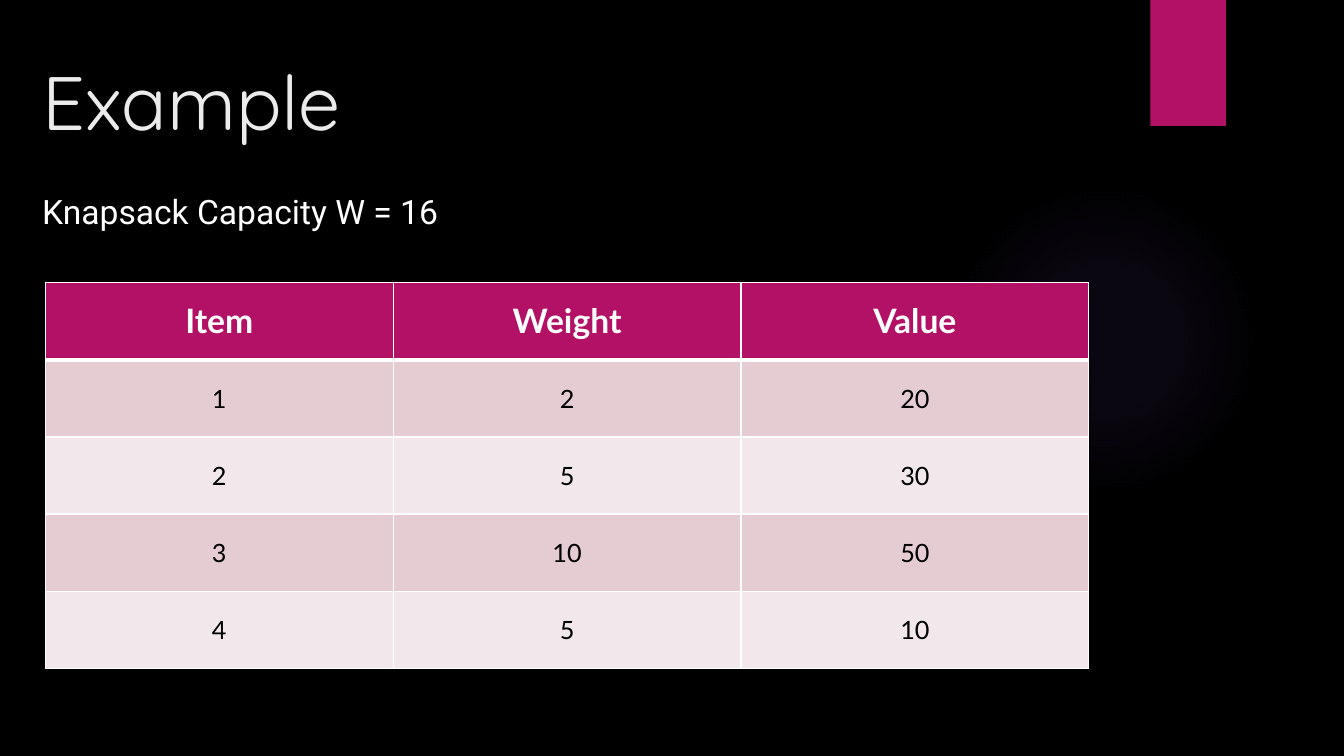
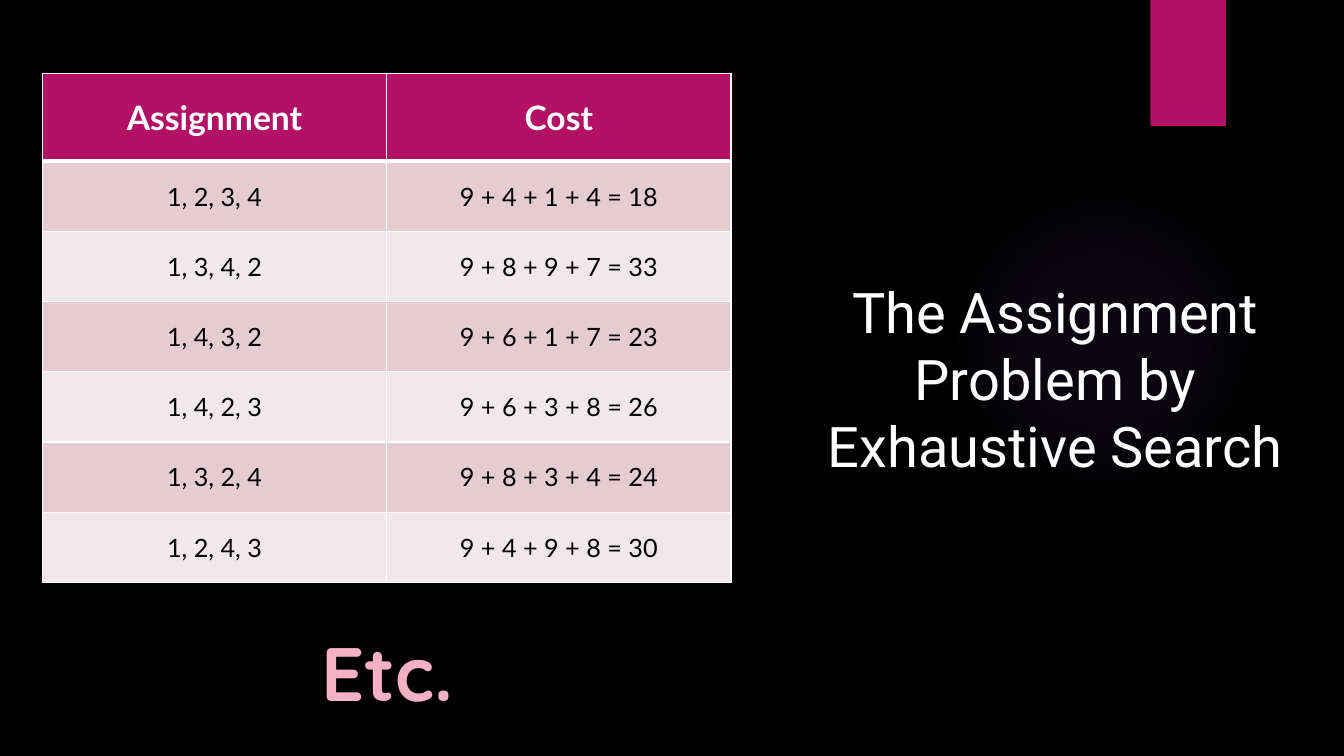
from lxml import etree
from pptx import Presentation
from pptx.dml.color import RGBColor
from pptx.enum import shapes, text
from pptx.oxml import ns
from pptx.util import Inches, Pt

BLACK, WHITE = "000000", "FFFFFF"
ACCENT = "B31166"
ROW_FILLS = ("E5CCD3", "F2E7EA")
TITLE_COLOR = "EBEBEB"
GLOW = "9B6BF2"
GLOW_STOPS = ((0, 7), (36, 6), (69, 0))  # position and opacity, in percent
PINK, ROSE = "F4B1C5", "E33D6F"
TITLE_FONT, BODY_FONT, TABLE_FONT = "Quicksand", "Roboto", "Lato"


def color(value):
    return RGBColor.from_string(value)


def set_font(font, name, size, fill, bold=False):
    font.name, font.size, font.bold = name, Pt(size), bold
    font.color.rgb = color(fill)


def line_xml(tag, fill, width):
    """Return an outline element, as used by cell borders and text."""
    line = etree.Element(ns.qn(f"a:{tag}"), w=str(Pt(width)))
    solid = etree.SubElement(line, ns.qn("a:solidFill"))
    etree.SubElement(solid, ns.qn("a:srgbClr"), val=fill)
    return line


def add_plain_shape(slide, kind, box):
    shape = slide.shapes.add_shape(kind, *map(Inches, box))
    shape.shadow.inherit = False
    shape.line.fill.background()
    return shape


def add_glow(slide, box):
    """Add a circle that fades out from its centre."""
    shape = add_plain_shape(slide, shapes.MSO_SHAPE.OVAL, box)
    shape.fill.background()
    gradient = etree.Element(ns.qn("a:gradFill"), rotWithShape="1")
    stops = etree.SubElement(gradient, ns.qn("a:gsLst"))
    for position, opacity in GLOW_STOPS:
        stop = etree.SubElement(stops, ns.qn("a:gs"), pos=str(position * 1000))
        stop_color = etree.SubElement(stop, ns.qn("a:srgbClr"), val=GLOW)
        etree.SubElement(stop_color, ns.qn("a:alpha"), val=str(opacity * 1000))
    circle = etree.SubElement(gradient, ns.qn("a:path"), path="circle")
    etree.SubElement(circle, ns.qn("a:fillToRect"),
                     {side: "50000" for side in "ltrb"})
    properties = shape.element.spPr
    properties.replace(properties.find(ns.qn("a:noFill")), gradient)


def add_base_slide(presentation):
    """Add a black slide with the glow and the accent tab."""
    slide = presentation.slides.add_slide(presentation.slide_layouts[6])
    background = slide.background.fill
    background.solid()
    background.fore_color.rgb = color(BLACK)
    add_glow(slide, (9.41, 1.83, 3.08, 3.08))
    tab = add_plain_shape(slide, shapes.MSO_SHAPE.RECTANGLE, (11.41, 0, 0.75, 1.25))
    tab.fill.solid()
    tab.fill.fore_color.rgb = color(ACCENT)
    return slide


def add_text(slide, box, words, name, size, fill, bold=False, centred=False, wrap=True):
    frame = slide.shapes.add_textbox(*map(Inches, box)).text_frame
    frame.word_wrap = wrap
    paragraph = frame.paragraphs[0]
    paragraph.text = words
    paragraph.alignment = text.PP_ALIGN.CENTER if centred else text.PP_ALIGN.LEFT
    set_font(paragraph.font, name, size, fill, bold)
    return paragraph


def style_cell(cell, words, row):
    header = row == 0
    cell.text = words
    cell.vertical_anchor = text.MSO_ANCHOR.MIDDLE
    paragraph = cell.text_frame.paragraphs[0]
    paragraph.alignment = text.PP_ALIGN.CENTER
    set_font(paragraph.font, TABLE_FONT, 24 if header else 18,
             WHITE if header else BLACK, header)
    cell.fill.solid()
    cell.fill.fore_color.rgb = color(ACCENT if header else ROW_FILLS[(row - 1) % 2])
    widths = {"lnL": 1, "lnR": 1, "lnT": 3 if row == 1 else 1, "lnB": 3 if header else 1}
    properties = cell._tc.get_or_add_tcPr()
    for index, (tag, width) in enumerate(widths.items()):
        properties.insert(index, line_xml(tag, WHITE, width))


def add_data_table(slide, box, header_height, rows):
    """Fill the box with a header row and equal body rows and columns."""
    table = slide.shapes.add_table(len(rows), len(rows[0]), *map(Inches, box)).table
    body_height = (box[3] - header_height) / (len(rows) - 1)
    for column in table.columns:
        column.width = Inches(box[2] / len(rows[0]))
    for row, values in enumerate(rows):
        table.rows[row].height = Inches(body_height if row else header_height)
        for column, value in enumerate(values):
            style_cell(table.cell(row, column), value, row)


def build_knapsack_slide(presentation):
    slide = add_base_slide(presentation)
    add_text(slide, (0.32, 0.5, 10.67, 0.88), "Example", TITLE_FONT, 54, TITLE_COLOR)
    add_text(slide, (0.32, 1.84, 10.97, 0.5), "Knapsack Capacity W = 16",
             BODY_FONT, 24, WHITE)
    add_data_table(slide, (0.45, 2.8, 10.35, 3.83), 0.77, (
        ("Item", "Weight", "Value"),
        ("1", "2", "20"),
        ("2", "5", "30"),
        ("3", "10", "50"),
        ("4", "5", "10"),
    ))


def build_assignment_slide(presentation):
    slide = add_base_slide(presentation)
    add_data_table(slide, (0.42, 0.73, 6.83, 5.05), 0.87, (
        ("Assignment", "Cost"),
        ("1, 2, 3, 4", "9 + 4 + 1 + 4 = 18"),
        ("1, 3, 4, 2", "9 + 8 + 9 + 7 = 33"),
        ("1, 4, 3, 2", "9 + 6 + 1 + 7 = 23"),
        ("1, 4, 2, 3", "9 + 6 + 3 + 8 = 26"),
        ("1, 3, 2, 4", "9 + 8 + 3 + 4 = 24"),
        ("1, 2, 4, 3", "9 + 4 + 9 + 8 = 30"),
    ))
    add_text(slide, (8.11, 2.7, 4.71, 2.12), "The Assignment Problem by Exhaustive Search",
             BODY_FONT, 40, WHITE, centred=True)
    closing = add_text(slide, (3.08, 6.16, 1.52, 1.01), "Etc.", TITLE_FONT, 54, PINK,
                       bold=True, centred=True, wrap=False)
    closing.runs[0]._r.get_or_add_rPr().insert(0, line_xml("ln", ROSE, 1.75))


def main():
    presentation = Presentation()
    presentation.slide_width, presentation.slide_height = Inches(13.33), Inches(7.5)
    build_knapsack_slide(presentation)
    build_assignment_slide(presentation)
    presentation.save("out.pptx")


if __name__ == "__main__":
    main()
